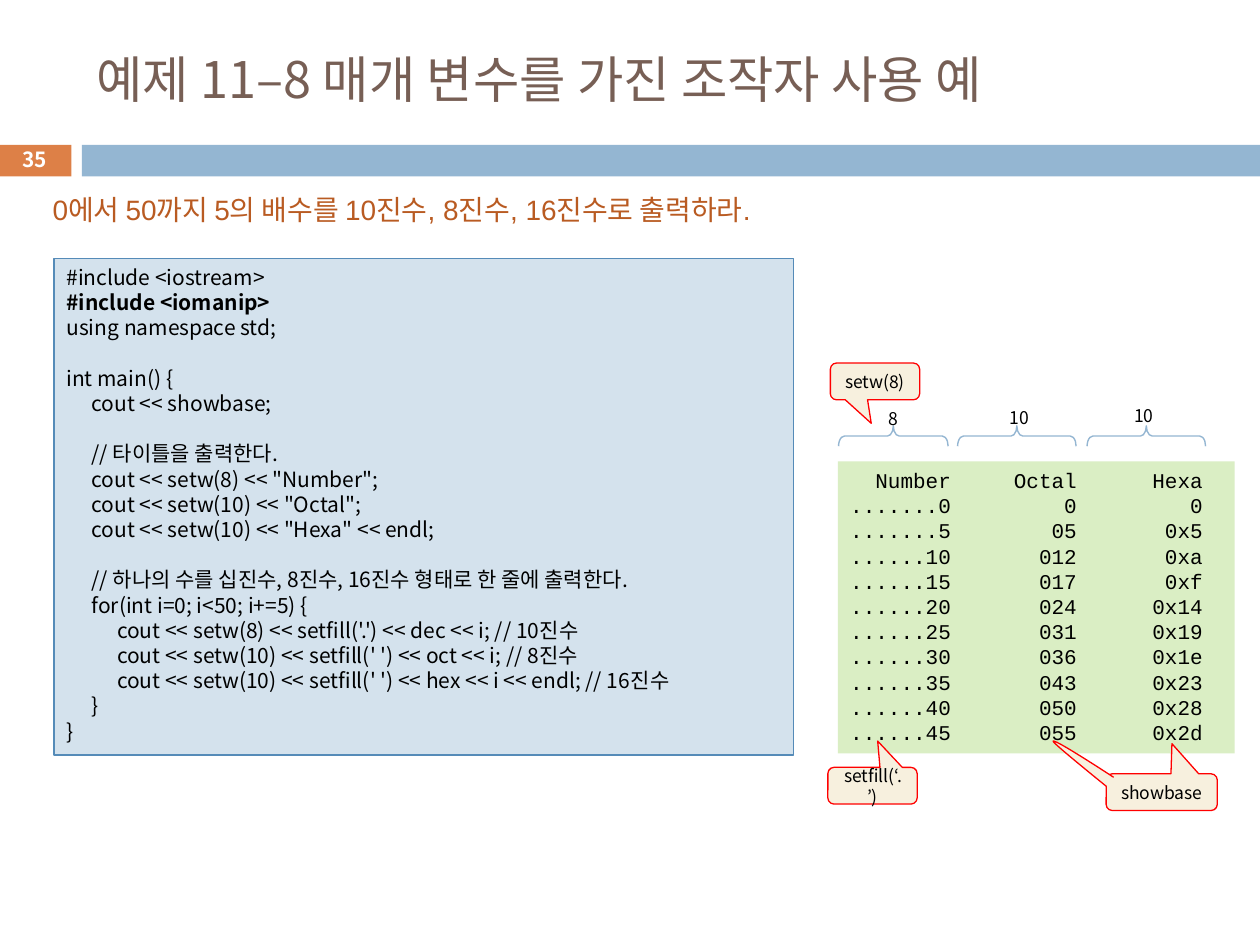
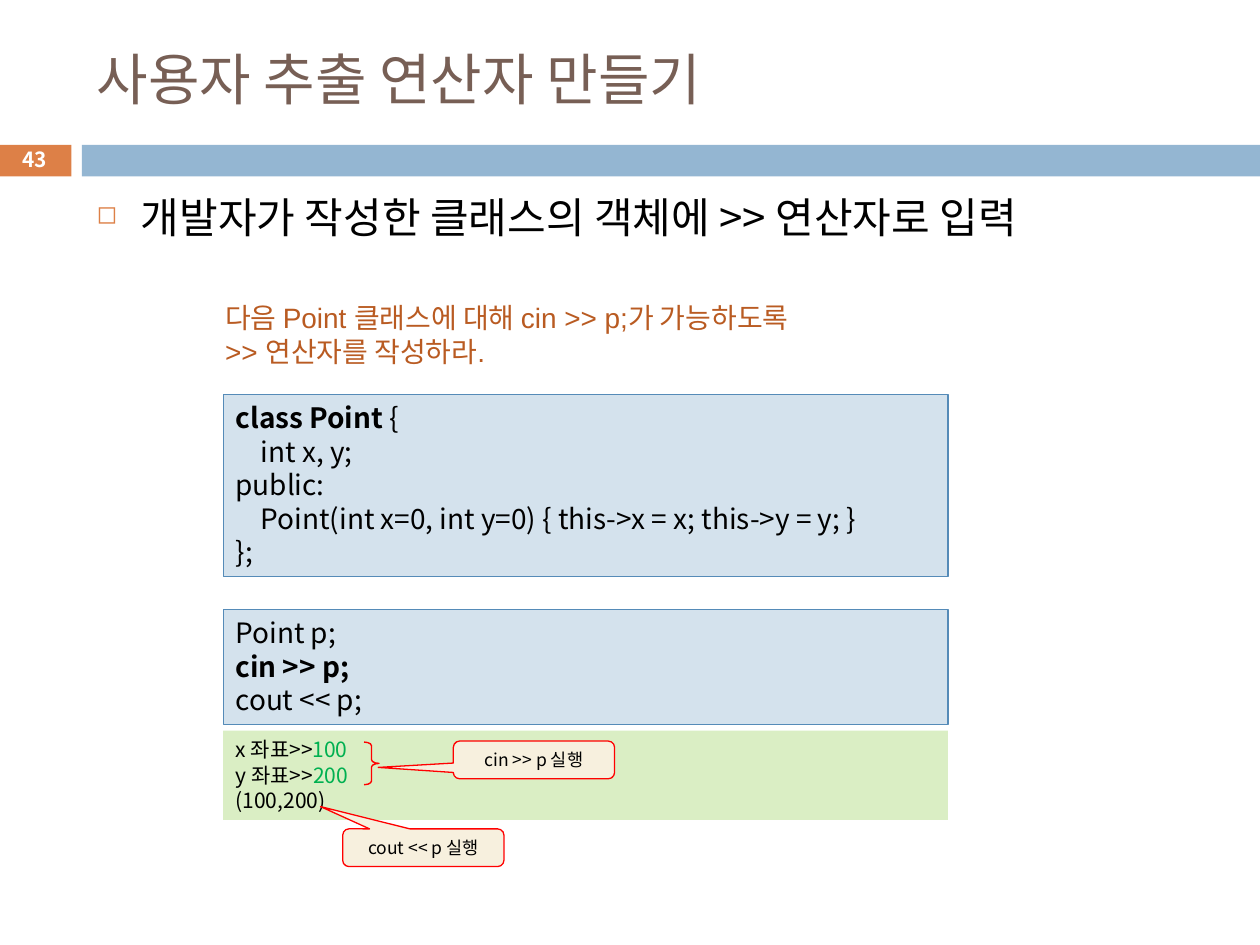
from dataclasses import dataclass
from typing import Optional, Sequence, Union

import lxml.etree
import pptx
import pptx.dml.color
import pptx.enum.shapes
import pptx.enum.text
import pptx.oxml.ns
import pptx.util

Cm = pptx.util.Cm
Pt = pptx.util.Pt
RGBColor = pptx.dml.color.RGBColor
MSO_SHAPE = pptx.enum.shapes.MSO_SHAPE
PP_ALIGN = pptx.enum.text.PP_ALIGN
MSO_ANCHOR = pptx.enum.text.MSO_ANCHOR
qn = pptx.oxml.ns.qn

BLACK = RGBColor(0x00, 0x00, 0x00)
WHITE = RGBColor(0xFF, 0xFF, 0xFF)
BROWN = RGBColor(0x77, 0x5F, 0x55)
ORANGE = RGBColor(0xDD, 0x80, 0x47)
BLUE = RGBColor(0x94, 0xB6, 0xD2)
CODE_FILL = RGBColor(0xD4, 0xE2, 0xED)
CODE_LINE = RGBColor(0x55, 0x8B, 0xB8)
CONSOLE_FILL = RGBColor(0xDA, 0xEE, 0xC4)
CALLOUT_FILL = RGBColor(0xF7, 0xF0, 0xDE)
RED = RGBColor(0xFF, 0x00, 0x00)
RUST = RGBColor(0xB9, 0x5B, 0x22)
INPUT_GREEN = RGBColor(0x00, 0xB0, 0x50)

KOREAN_FONT = "Noto Sans CJK KR"
LINE_HEIGHT = 1.2


@dataclass(frozen=True)
class Box:
    """A frame in centimetres."""
    left: float
    top: float
    width: float
    height: float

    def lengths(self) -> list:
        return [Cm(v) for v in (self.left, self.top, self.width, self.height)]


@dataclass(frozen=True)
class Run:
    text: str
    bold: bool = False
    color: Optional[RGBColor] = None


Line = Union[str, Sequence[Run]]


@dataclass(frozen=True)
class Style:
    size: float
    color: RGBColor = BLACK
    font: str = KOREAN_FONT
    align: PP_ALIGN = PP_ALIGN.LEFT
    anchor: MSO_ANCHOR = MSO_ANCHOR.TOP
    bold: bool = False
    wrap: bool = True
    tab: float = 0


@dataclass(frozen=True)
class Callout:
    text: str
    box: Box
    tip_x: float
    tip_y: float


@dataclass(frozen=True)
class Column:
    """An output column: its brace and the width written above it."""
    width: str
    brace_center: float
    brace_length: float
    label_center: float
    label_top: float


TITLE = Style(32, BROWN, anchor=MSO_ANCHOR.MIDDLE)
LONG_TITLE = Style(28.8, BROWN, anchor=MSO_ANCHOR.MIDDLE)
PAGE_NUMBER = Style(11.9, WHITE, align=PP_ALIGN.CENTER, anchor=MSO_ANCHOR.MIDDLE, bold=True)
TASK = Style(16, RUST, "Arial")
CODE = Style(12, tab=0.51)
LARGE_CODE = Style(16, tab=0.51)
CONSOLE = Style(12)
TABLE_CONSOLE = Style(12, font="Courier New", wrap=False)
CALLOUT = Style(10, align=PP_ALIGN.CENTER, anchor=MSO_ANCHOR.MIDDLE)
WIDTH_LABEL = Style(10, align=PP_ALIGN.CENTER, wrap=False)
HEADLINE = Style(24)


def set_tabs(paragraph, step: float) -> None:
    tabs = lxml.etree.SubElement(paragraph._p.get_or_add_pPr(), qn("a:tabLst"))
    for depth in (1, 2):
        lxml.etree.SubElement(tabs, qn("a:tab"), pos=str(Cm(step * depth)), algn="l")


def write(shape, lines: Sequence[Line], style: Style) -> None:
    """Fill a shape with lines; an empty line becomes space before the next one."""
    frame = shape.text_frame
    frame.word_wrap = style.wrap
    frame.vertical_anchor = style.anchor
    paragraph, gap = frame.paragraphs[0], 0
    for number, line in enumerate(lines):
        if not line:
            gap += style.size * LINE_HEIGHT
            continue
        if number:
            paragraph = frame.add_paragraph()
        paragraph.alignment = style.align
        if gap:
            paragraph.space_before = Pt(gap)
            gap = 0
        if style.tab:
            set_tabs(paragraph, style.tab)
        for part in [Run(line)] if isinstance(line, str) else line:
            run = paragraph.add_run()
            run.text = part.text
            run.font.size = Pt(style.size)
            run.font.name = style.font
            run.font.bold = part.bold or style.bold
            run.font.color.rgb = part.color or style.color
            lxml.etree.SubElement(run._r.get_or_add_rPr(), qn("a:ea"), typeface=KOREAN_FONT)


def paint(shape, fill: Optional[RGBColor], line: Optional[RGBColor], width: float = 0.75) -> None:
    shape.shadow.inherit = False
    if fill is None:
        shape.fill.background()
    else:
        shape.fill.solid()
        shape.fill.fore_color.rgb = fill
    if line is None:
        shape.line.fill.background()
    else:
        shape.line.color.rgb = line
        shape.line.width = Pt(width)


def add_text(slide, box: Box, lines: Sequence[Line], style: Style):
    text = slide.shapes.add_textbox(*box.lengths())
    write(text, lines, style)
    return text


def add_panel(slide, box: Box, fill: RGBColor, line: Optional[RGBColor] = None,
              lines: Sequence[Line] = (), style: Style = CODE) -> None:
    panel = slide.shapes.add_shape(MSO_SHAPE.RECTANGLE, *box.lengths())
    paint(panel, fill, line)
    write(panel, lines, style)


def add_callout(slide, callout: Callout) -> None:
    bubble = slide.shapes.add_shape(MSO_SHAPE.ROUNDED_RECTANGULAR_CALLOUT, *callout.box.lengths())
    for index, value in enumerate((callout.tip_x, callout.tip_y, 0.167)):
        bubble.adjustments[index] = value
    paint(bubble, CALLOUT_FILL, RED)
    write(bubble, [callout.text], CALLOUT)


def add_brace(slide, box: Box, color: RGBColor, bend: float, rotation: float = 0) -> None:
    brace = slide.shapes.add_shape(MSO_SHAPE.RIGHT_BRACE, *box.lengths())
    brace.adjustments[0] = bend
    brace.rotation = rotation
    paint(brace, None, color, 0.79)


def add_column_mark(slide, column: Column) -> None:
    thickness, middle = 0.41, 8.79
    add_brace(slide, Box(column.brace_center - thickness / 2, middle - column.brace_length / 2,
                         thickness, column.brace_length), BLUE, 0.289, 270)
    add_text(slide, Box(column.label_center - 0.45, column.label_top, 0.9, 0.69),
             [column.width], WIDTH_LABEL)


def bezier(points: Sequence[tuple], steps: int = 10) -> list:
    """Points along a cubic curve, without its start."""
    curve = []
    for step in range(1, steps + 1):
        t = step / steps
        weights = ((1 - t) ** 3, 3 * t * (1 - t) ** 2, 3 * t * t * (1 - t), t ** 3)
        curve.append(tuple(Cm(sum(w * p[axis] for w, p in zip(weights, points)))
                           for axis in (0, 1)))
    return curve


def add_second_tail(slide) -> None:
    """Extra tail that points from the showbase callout to the octal column."""
    start, tip, end = (22.45, 15.67), (21.23, 14.94), (22.3, 15.85)
    builder = slide.shapes.build_freeform(Cm(start[0]), Cm(start[1]))
    builder.add_line_segments(
        bezier([start, (21.87, 15.29), (21.26, 14.91), tip])
        + bezier([tip, (21.21, 14.96), (21.77, 15.42), end]), close=False)
    paint(builder.convert_to_shape(), CALLOUT_FILL, RED)


def add_headline(slide, text: str) -> None:
    headline = add_text(slide, Box(1.7, 3.73, 22.66, 1.5), [text], HEADLINE)
    properties = headline.text_frame.paragraphs[0]._p.get_or_add_pPr()
    properties.set("marL", str(Cm(0.89)))
    properties.set("indent", str(Cm(-0.89)))
    color = lxml.etree.SubElement(properties, qn("a:buClr"))
    lxml.etree.SubElement(color, qn("a:srgbClr"), val=str(ORANGE))
    lxml.etree.SubElement(properties, qn("a:buSzPct"), val="60000")
    lxml.etree.SubElement(properties, qn("a:buChar"), char="◻")


def add_base_slide(deck, title: str, number: str, title_style: Style = TITLE):
    slide = deck.slides.add_slide(deck.slide_layouts[6])
    add_panel(slide, Box(-0.03, 2.92, 1.47, 0.64), ORANGE)
    add_panel(slide, Box(1.65, 2.92, 23.75, 0.64), BLUE)
    add_text(slide, Box(1.7, 0.64, 22.66, 1.88), [title], title_style)
    add_text(slide, Box(-0.03, 2.87, 1.47, 0.69), [number], PAGE_NUMBER)
    return slide


def number_table() -> list:
    rows = [f"{'Number':>8}{'Octal':>10}{'Hexa':>10}"]
    for i in range(0, 50, 5):
        octal, hexa = (f"0{i:o}", f"0x{i:x}") if i else ("0", "0")
        rows.append(f"{i:.>8}{octal:>10}{hexa:>10}")
    return rows


MANIPULATOR_CODE = [
    "#include <iostream>",
    [Run("#include <iomanip>", bold=True)],
    "using namespace std;",
    "",
    "int main() {",
    "\tcout << showbase;",
    "",
    "\t// 타이틀을 출력한다.",
    '\tcout << setw(8) << "Number";',
    '\tcout << setw(10) << "Octal";',
    '\tcout << setw(10) << "Hexa" << endl;',
    "",
    "\t// 하나의 수를 십진수, 8진수, 16진수 형태로 한 줄에 출력한다.",
    "\tfor(int i=0; i<50; i+=5) {",
    "\t\tcout << setw(8) << setfill('.') << dec << i; // 10진수",
    "\t\tcout << setw(10) << setfill(' ') << oct << i; // 8진수",
    "\t\tcout << setw(10) << setfill(' ') << hex << i << endl; // 16진수",
    "\t}",
    "}",
]
POINT_CLASS = [
    [Run("class Point ", bold=True), Run("{")],
    "\tint x, y;",
    "public:",
    "\tPoint(int x=0, int y=0) { this->x = x; this->y = y; }",
    "};",
]
POINT_USE = ["Point p;", [Run("cin >> p;", bold=True)], "cout << p;"]
POINT_OUTPUT = [
    [Run("x 좌표>>"), Run("100", color=INPUT_GREEN)],
    [Run("y 좌표>>"), Run("200", color=INPUT_GREEN)],
    "(100,200)",
]
COLUMNS = [
    Column("8", 18.01, 2.21, 18.01, 8.1),
    Column("10", 20.5, 2.39, 20.55, 8.08),
    Column("10", 23.11, 2.39, 23.06, 8.05),
]
MANIPULATOR_CALLOUTS = [
    Callout("showbase", Box(22.3, 15.6, 2.24, 0.74), 0.092, -1.321),
    Callout("setw(8)", Box(16.74, 7.32, 1.8, 0.74), -0.042, 1.141),
    Callout("setfill(‘.’)", Box(16.69, 15.47, 1.8, 0.74), 0.058, -1.217),
]
POINT_CALLOUTS = [
    Callout("cin >> p 실행", Box(9.14, 14.94, 3.25, 0.76), -0.966, 0.199),
    Callout("cout << p 실행", Box(6.91, 16.71, 3.25, 0.76), -0.638, -1.092),
]


def build_manipulator_slide(deck) -> None:
    slide = add_base_slide(deck, "예제 11–8 매개 변수를 가진 조작자 사용 예", "35", LONG_TITLE)
    add_panel(slide, Box(1.09, 5.21, 14.91, 10.01), CODE_FILL, CODE_LINE, MANIPULATOR_CODE)
    add_panel(slide, Box(16.89, 9.3, 8, 5.89), CONSOLE_FILL, None, number_table(), TABLE_CONSOLE)
    for callout in MANIPULATOR_CALLOUTS:
        add_callout(slide, callout)
    add_second_tail(slide)
    for column in COLUMNS:
        add_column_mark(slide, column)
    add_text(slide, Box(0.81, 3.76, 15.98, 0.94),
             ["0에서 50까지 5의 배수를 10진수, 8진수, 16진수로 출력하라."], TASK)


def build_point_slide(deck) -> None:
    slide = add_base_slide(deck, "사용자 추출 연산자 만들기", "43")
    add_headline(slide, "개발자가 작성한 클래스의 객체에 >> 연산자로 입력")
    add_panel(slide, Box(4.5, 7.95, 14.61, 3.68), CODE_FILL, CODE_LINE, POINT_CLASS, LARGE_CODE)
    add_panel(slide, Box(4.5, 12.29, 14.61, 2.31), CODE_FILL, CODE_LINE, POINT_USE, LARGE_CODE)
    add_text(slide, Box(4.29, 5.94, 15.8, 1.63),
             ["다음 Point 클래스에 대해 cin >> p;가 가능하도록", ">> 연산자를 작성하라."], TASK)
    add_panel(slide, Box(4.5, 14.73, 14.61, 1.8), CONSOLE_FILL, None, POINT_OUTPUT, CONSOLE)
    for callout in POINT_CALLOUTS:
        add_callout(slide, callout)
    add_brace(slide, Box(7.34, 14.96, 0.3, 0.86), RED, 0.249)


def main() -> None:
    deck = pptx.Presentation()
    deck.slide_width, deck.slide_height = Cm(25.4), Cm(19.05)
    build_manipulator_slide(deck)
    build_point_slide(deck)
    deck.save("out.pptx")


if __name__ == "__main__":
    main()
